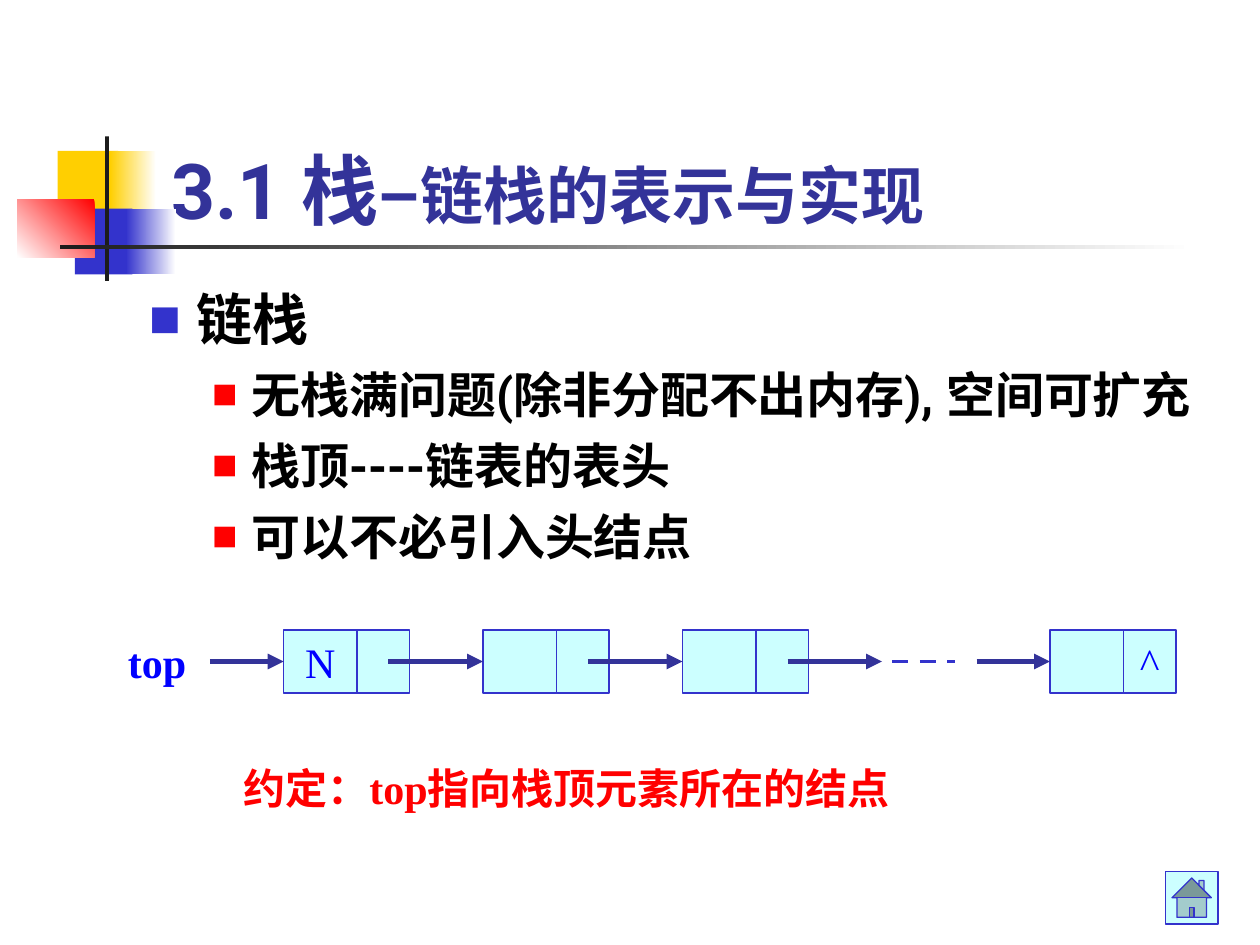
"""Build the slide on the linked stack: its title, key points and node chain."""
from lxml.etree import SubElement
from pptx import Presentation
from pptx.dml.color import RGBColor
from pptx.enum.dml import MSO_LINE
from pptx.enum.lang import MSO_LANGUAGE_ID
from pptx.enum.shapes import MSO_CONNECTOR, MSO_SHAPE
from pptx.enum.text import MSO_ANCHOR, MSO_AUTO_SIZE, PP_ALIGN
from pptx.oxml.ns import qn
from pptx.util import Pt

PX = 9525
SANS, SERIF = "Roboto", "Times New Roman"
WHITE = RGBColor(0xFF, 0xFF, 0xFF)
BLACK = RGBColor(0x00, 0x00, 0x00)
YELLOW = RGBColor(0xFF, 0xCF, 0x01)
RED = RGBColor(0xFF, 0x00, 0x00)
BLUE = RGBColor(0x00, 0x00, 0xFF)
INDIGO = RGBColor(0x33, 0x33, 0xCC)
NAVY = RGBColor(0x33, 0x33, 0x99)
CHARCOAL = RGBColor(0x1C, 0x1C, 0x1C)
CYAN = RGBColor(0xCC, 0xFF, 0xFF)

TITLE = [("3.1 栈–", 44), ("链栈的表示与实现", 36)]
POINTS = [
    (0, "链栈"),
    (1, "无栈满问题(除非分配不出内存), 空间可扩充"),
    (1, "栈顶----链表的表头"),
    (1, "可以不必引入头结点"),
]
LEVELS = [
    dict(size=32, before=8, left=36, hang=36, color=INDIGO, pct=60),
    dict(size=28, before=7, left=78, hang=30, color=RED, pct=55),
]
LABELS = [
    ((176, 576, 576, 48), "约定：top指向栈顶元素所在的结点", RED),
    ((88, 480, 64, 48), "top", BLUE),
]
DECOR = [
    ((44, 115, 46, 50), (YELLOW,), 0),
    ((84, 115, 35, 50), (WHITE, YELLOW), 180),
    ((57, 159, 44, 50), (INDIGO,), 0),
    ((96, 159, 38, 50), (WHITE, INDIGO), 180),
    ((13, 152, 59, 44), (RED, WHITE), 225),
    ((80, 104, 3, 110), (CHARCOAL,), 0),
    ((46, 187, 864, 3), (WHITE, CHARCOAL), 180),
]

TOP, H, DATA_W, LINK_W = 480, 48, 56, 40
MID = TOP + H // 2
FIRST, PITCH, LAST = 216, 152, 800
NODES = [(FIRST, "N", ""), (FIRST + PITCH, "", ""),
         (FIRST + 2 * PITCH, "", ""), (LAST, "", "^")]
LINK_START, LINK_LEN, ENTRY_LEN = 80, 72, 56


def emu(box):
    return [v * PX for v in box]


def place(sp, box):
    sp.left, sp.top, sp.width, sp.height = emu(box)


def add_run(p, text, size, font, color, bold=True):
    r = p.add_run()
    r.text = text
    r.font.size, r.font.name, r.font.bold = Pt(size), font, bold
    r.font.color.rgb = color
    r.font.language_id = MSO_LANGUAGE_ID.SIMPLIFIED_CHINESE


def add_box(s, box, colors, angle=0, outline=None, kind=MSO_SHAPE.RECTANGLE):
    sp = s.shapes.add_shape(kind, *emu(box))
    sp.shadow.inherit = False
    if len(colors) == 1:
        sp.fill.solid()
        sp.fill.fore_color.rgb = colors[0]
    else:
        sp.fill.gradient()
        sp.fill.gradient_angle = angle
        for stop, color in zip(sp.fill.gradient_stops, colors):
            stop.color.rgb = color
    if outline is None:
        sp.line.fill.background()
    else:
        sp.line.color.rgb = outline
        sp.line.width = Pt(0.75)
    return sp


def add_cell(s, x, w, text):
    sp = add_box(s, (x, TOP, w, H), (CYAN,), outline=INDIGO)
    if text:
        tf = sp.text_frame
        tf.vertical_anchor = MSO_ANCHOR.MIDDLE
        p = tf.paragraphs[0]
        p.alignment = PP_ALIGN.CENTER
        add_run(p, text, 24, SERIF, BLUE, bold=False)
    return sp


def add_line(s, x, length, color, width):
    c = s.shapes.add_connector(
        MSO_CONNECTOR.STRAIGHT, *emu((x, MID, x + length, MID)))
    c.line.color.rgb, c.line.width = color, Pt(width)
    SubElement(c.element.spPr, qn("a:effectLst"))
    return c


def add_arrow(s, x, length, target=None):
    c = add_line(s, x, length, NAVY, 3)
    SubElement(c.line._get_or_add_ln(), qn("a:tailEnd"), type="triangle")
    if target is not None:
        c.end_connect(target, 1)


def add_bullet(p, level):
    pPr = p._p.get_or_add_pPr()
    pPr.set("marL", str(level["left"] * PX))
    pPr.set("indent", str(-level["hang"] * PX))
    SubElement(SubElement(pPr, qn("a:buClr")), qn("a:srgbClr"),
               val=str(level["color"]))
    SubElement(pPr, qn("a:buSzPct"), val=str(level["pct"] * 1000))
    SubElement(pPr, qn("a:buFont"), typeface=SANS)
    SubElement(pPr, qn("a:buChar"), char="■")


def fill_title(sp):
    place(sp, (121, 64, 818, 120))
    tf = sp.text_frame
    tf.auto_size, tf.vertical_anchor = MSO_AUTO_SIZE.NONE, MSO_ANCHOR.BOTTOM
    p = tf.paragraphs[0]
    p.alignment = PP_ALIGN.LEFT
    for text, size in TITLE:
        add_run(p, text, size, SANS, NAVY)


def fill_body(sp):
    place(sp, (104, 212, 836, 460))
    tf = sp.text_frame
    tf.auto_size = MSO_AUTO_SIZE.NONE
    for i, (lvl, text) in enumerate(POINTS):
        p = tf.add_paragraph() if i else tf.paragraphs[0]
        level = LEVELS[lvl]
        p.level, p.space_before = lvl, Pt(level["before"])
        add_bullet(p, level)
        add_run(p, text, level["size"], SANS, BLACK)


def add_chain(s):
    heads = []
    for x, data, link in NODES:
        heads.append(add_cell(s, x, DATA_W, data))
        add_cell(s, x + DATA_W, LINK_W, link)
    for x, target in ((FIRST, heads[0]), (LAST, heads[-1])):
        add_arrow(s, x - ENTRY_LEN, ENTRY_LEN, target)
    for (x, _, _), target in zip(NODES[:-1], heads[1:-1] + [None]):
        add_arrow(s, x + LINK_START, LINK_LEN, target)
    gap = add_line(s, 680, 48, INDIGO, 2.25)
    gap.line.dash_style = MSO_LINE.DASH


def main():
    prs = Presentation()
    prs.slide_width, prs.slide_height = emu((960, 720))
    s = prs.slides.add_slide(prs.slide_layouts[1])
    for box, colors, angle in DECOR:
        add_box(s, box, colors, angle)
    fill_title(s.shapes.title)
    fill_body(s.placeholders[1])
    add_chain(s)
    for box, text, color in LABELS:
        tf = s.shapes.add_textbox(*emu(box)).text_frame
        tf.word_wrap = False
        p = tf.paragraphs[0]
        p.space_before = Pt(15)
        add_run(p, text, 24, SERIF, color)
    add_box(s, (888, 664, 40, 40), (CYAN,), outline=INDIGO,
            kind=MSO_SHAPE.ACTION_BUTTON_HOME)
    prs.save("out.pptx")


if __name__ == "__main__":
    main()
